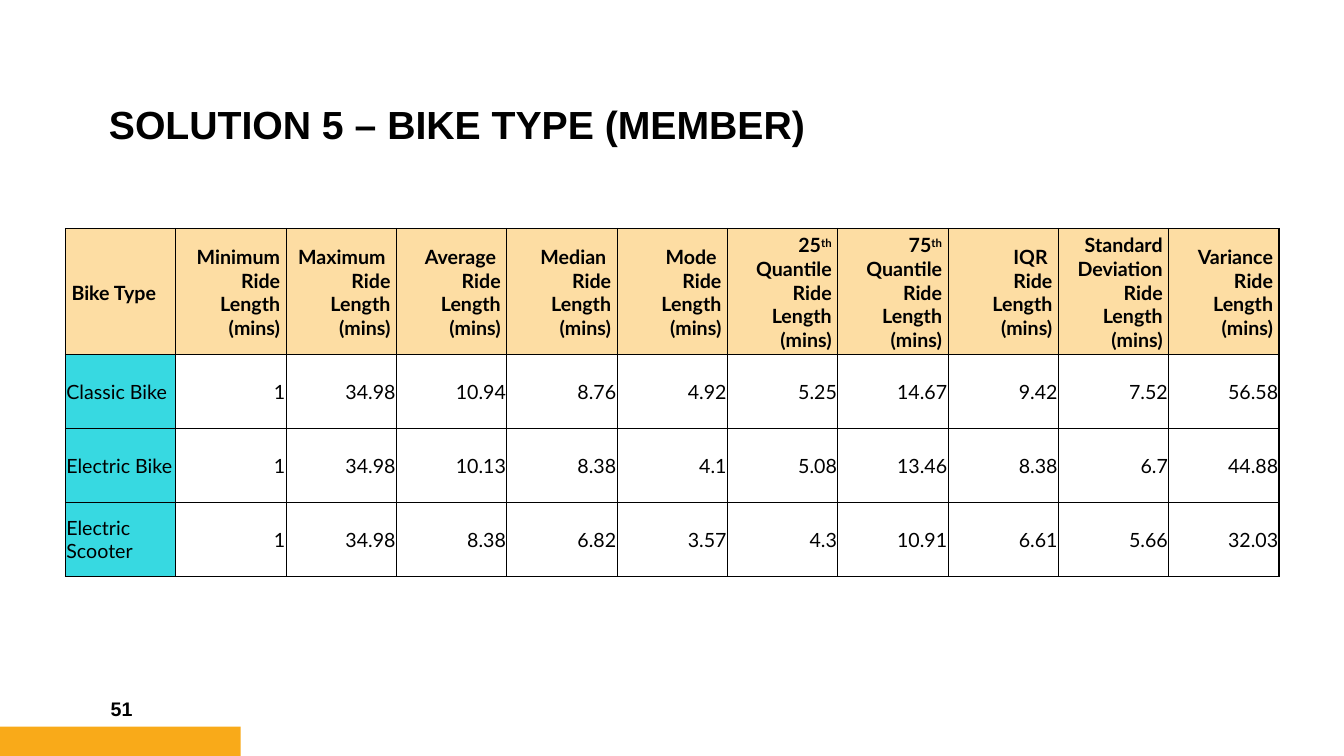
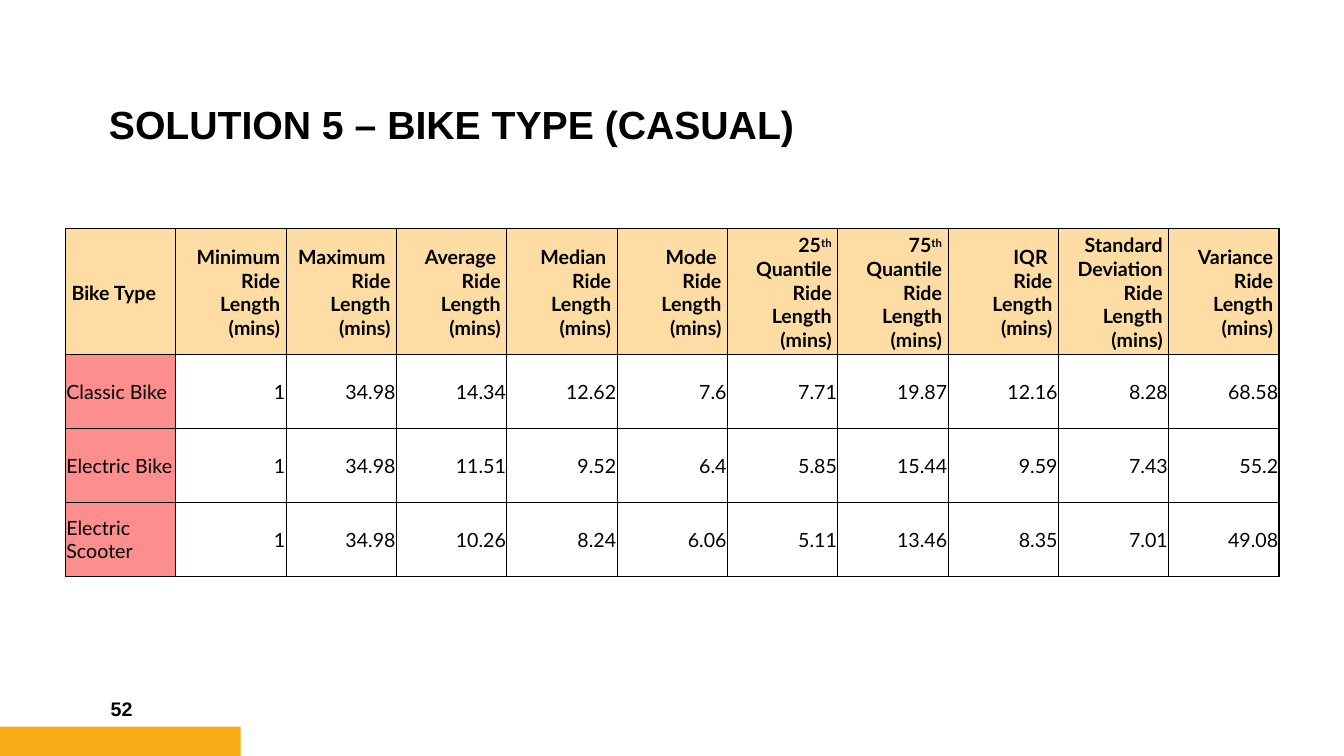
from lxml import etree
from pptx import Presentation
from pptx.dml.color import RGBColor
from pptx.enum import shapes, text
from pptx.oxml import ns
from pptx.util import Pt

C = {"black": "000000", "white": "FFFFFF", "band": "F9AA19", "header": "FDDDA3",
     "member": "37D9E1", "casual": "FC8E8E"}

HEADERS = ["Bike Type", "Minimum Ride Length\n(mins)"]
HEADERS += [f"{name} \nRide Length\n(mins)" for name in ("Maximum", "Average", "Median", "Mode")]
HEADERS += [f"{n}^th^ Quantile Ride Length\n(mins)" for n in (25, 75)]
HEADERS += ["IQR \nRide Length\n(mins)", "Standard Deviation Ride Length\n(mins)",
            "Variance Ride Length\n(mins)"]

SLIDES = [
    (51, "member", [
        ["Classic Bike", 1, 34.98, 10.94, 8.76, 4.92, 5.25, 14.67, 9.42, 7.52, 56.58],
        ["Electric Bike", 1, 34.98, 10.13, 8.38, 4.1, 5.08, 13.46, 8.38, 6.7, 44.88],
        ["Electric Scooter", 1, 34.98, 8.38, 6.82, 3.57, 4.3, 10.91, 6.61, 5.66, 32.03],
    ]),
    (52, "casual", [
        ["Classic Bike", 1, 34.98, 14.34, 12.62, 7.6, 7.71, 19.87, 12.16, 8.28, 68.58],
        ["Electric Bike", 1, 34.98, 11.51, 9.52, 6.4, 5.85, 15.44, 9.59, 7.43, 55.2],
        ["Electric Scooter", 1, 34.98, 10.26, 8.24, 6.06, 5.11, 13.46, 8.35, 7.01, 49.08],
    ]),
]

COL_W, HEADER_H, ROW_H = 78.81, 90, 52.8


def style(p, size, name, bold):
    p.font.size = Pt(size)
    p.font.name = name
    p.font.bold = bold
    p.font.color.rgb = RGBColor.from_string(C["black"])


def fill_cell(cell, content, color, bold, right, insets):
    tcPr = cell._tc.get_or_add_tcPr()
    for side in ("lnL", "lnR", "lnT", "lnB"):
        ln = etree.SubElement(tcPr, ns.qn(f"a:{side}"), w=str(Pt(1)))
        solid = etree.SubElement(ln, ns.qn("a:solidFill"))
        etree.SubElement(solid, ns.qn("a:srgbClr"), val=C["black"])
    cell.fill.solid()
    cell.fill.fore_color.rgb = RGBColor.from_string(C[color])
    cell.vertical_anchor = text.MSO_ANCHOR.MIDDLE
    cell.margin_left, cell.margin_top, cell.margin_right, cell.margin_bottom = map(Pt, insets)
    tf = cell.text_frame
    for i, line in enumerate(str(content).split("\n")):
        p = tf.add_paragraph() if i else tf.paragraphs[0]
        p.alignment = text.PP_ALIGN.RIGHT if right else text.PP_ALIGN.LEFT
        style(p, 14, "Lato", bold)
        for j, piece in enumerate(line.split("^")):
            r = p.add_run()
            r.text = piece
            if j % 2:
                r.font._element.set("baseline", "30000")


prs = Presentation()
prs.slide_width, prs.slide_height = Pt(960), Pt(540)

for number, rider, rows in SLIDES:
    s = prs.slides.add_slide(prs.slide_layouts[5])

    band = s.shapes.add_shape(shapes.MSO_SHAPE.RECTANGLE, Pt(0), Pt(519), Pt(172), Pt(21))
    band.shadow.inherit = False
    band.fill.solid()
    band.fill.fore_color.rgb = RGBColor.from_string(C["band"])
    band.line.fill.background()

    title = s.shapes.title
    title.left, title.top, title.width, title.height = Pt(70.6), Pt(10.8), Pt(531), Pt(98.6)
    tf = title.text_frame
    tf.text = f"SOLUTION 5 – BIKE TYPE ({rider.upper()})"
    tf.auto_size = text.MSO_AUTO_SIZE.NONE
    tf.vertical_anchor = text.MSO_ANCHOR.BOTTOM
    p = tf.paragraphs[0]
    p.alignment = text.PP_ALIGN.LEFT
    p.line_spacing = 0.9
    style(p, 28, "Arial", True)

    tf = s.shapes.add_textbox(Pt(72), Pt(492), Pt(93.6), Pt(28.8)).text_frame
    tf.word_wrap = True
    tf.vertical_anchor = text.MSO_ANCHOR.MIDDLE
    tf.text = str(number)
    style(tf.paragraphs[0], 14, "Arial", True)

    grid = [HEADERS] + rows
    table = s.shapes.add_table(len(grid), len(HEADERS), Pt(46.8), Pt(163.2),
                               Pt(COL_W * len(HEADERS)), Pt(HEADER_H + ROW_H * len(rows))).table
    for col in table.columns:
        col.width = Pt(COL_W)
    for i, row in enumerate(grid):
        table.rows[i].height = Pt(ROW_H if i else HEADER_H)
        for j, content in enumerate(row):
            color = "header" if i == 0 else "white" if j else rider
            insets = (0.6, 0.6, 0.6, 0) if i else (4.3, 3.6, 4.3, 2.2)
            fill_cell(table.cell(i, j), content, color, i == 0, j > 0, insets)

prs.save("out.pptx")
